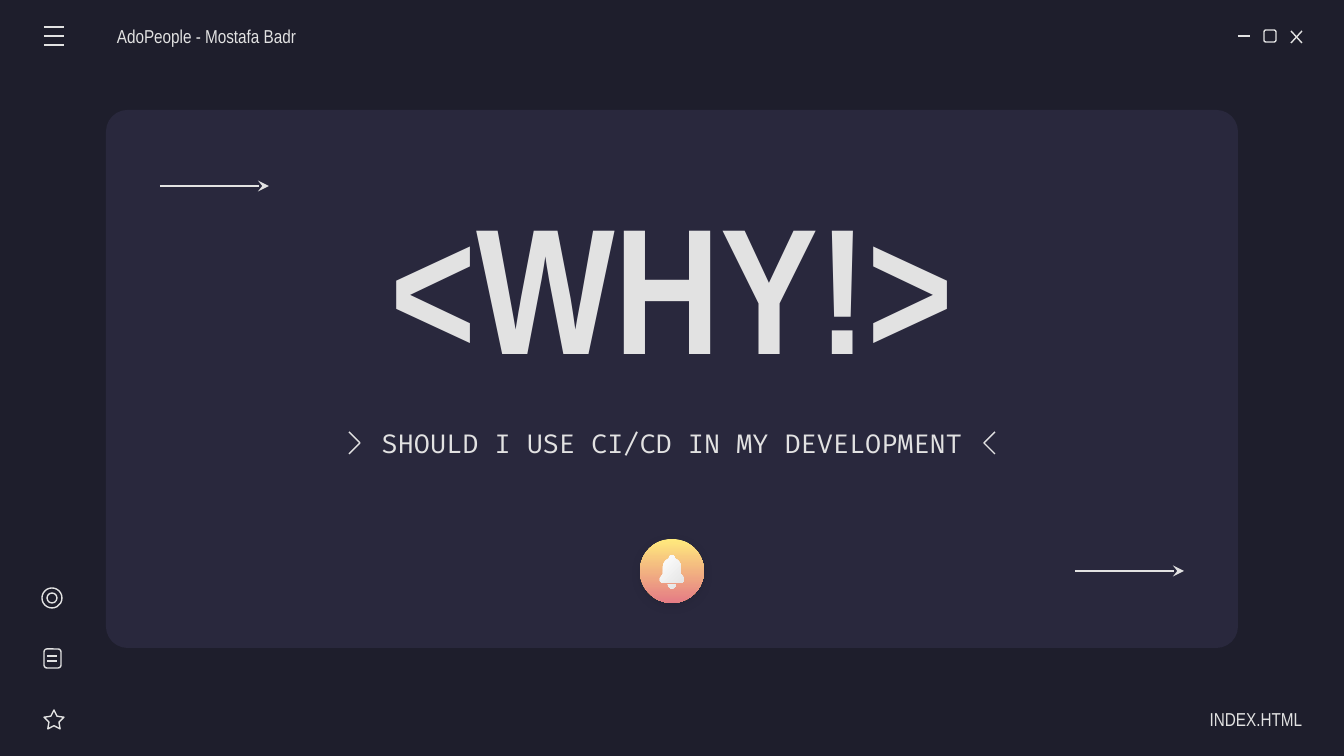
import math
from dataclasses import dataclass

import lxml.etree
import pptx
import pptx.dml.color
import pptx.enum.shapes
import pptx.enum.text
import pptx.oxml.ns
import pptx.util

WIDE, HIGH = 1344, 756
SCALE = 9144000 / WIDE  # EMU in one px

KIND = pptx.enum.shapes.MSO_SHAPE
ALIGN = pptx.enum.text.PP_ALIGN
qn = pptx.oxml.ns.qn


@dataclass(frozen=True)
class Theme:
    back: str = "1E1E2C"
    card: str = "29283D"
    ink: str = "E2E2E2"
    sun: tuple = ("FFEA7D", "E57C85")
    bell: tuple = ("FFFFFF", "E2E2E2")
    sans: str = "Arial Narrow"
    mono: str = "Fira Code"
    small: int = 10
    mid: int = 14
    huge: int = 96
    stroke: float = 0.75


THEME = Theme()


def px(num):
    return pptx.util.Emu(round(num * SCALE))


def rgb(code):
    return pptx.dml.color.RGBColor.from_string(code)


def ink(line):
    line.color.rgb = rgb(THEME.ink)
    line.width = pptx.util.Pt(THEME.stroke)


def blend(shape, pair, angle):
    """Fill with a two-colour gradient; the angle runs counter-clockwise."""
    shape.fill.gradient()
    shape.fill.gradient_angle = angle
    for stop, code in zip(shape.fill.gradient_stops, pair):
        stop.color.rgb = rgb(code)
    shape.line.fill.background()


def add_form(slide, kind, left, top, width, height, fill=None, adj=None):
    """Filled shape without a line, or an outline if no fill is given."""
    shape = slide.shapes.add_shape(kind, px(left), px(top), px(width), px(height))
    shape.shadow.inherit = False
    if adj is not None:
        shape.adjustments[0] = adj
    if fill:
        shape.fill.solid()
        shape.fill.fore_color.rgb = rgb(fill)
        shape.line.fill.background()
    else:
        shape.fill.background()
        ink(shape.line)
    return shape


def add_line(slide, x1, y1, x2, y2, head=False):
    line = slide.shapes.add_connector(
        pptx.enum.shapes.MSO_CONNECTOR.STRAIGHT, px(x1), px(y1), px(x2), px(y2))
    ink(line.line)
    props = line.element.spPr
    if head:
        lxml.etree.SubElement(props.find(qn("a:ln")), qn("a:tailEnd"), type="stealth")
    lxml.etree.SubElement(props, qn("a:effectLst"))


def add_free(slide, parts, close=True):
    """One freeform from one or more lists of points."""
    build = None
    for part in parts:
        first, *rest = [(px(x), px(y)) for x, y in part]
        if build is None:
            build = slide.shapes.build_freeform(*first)
        else:
            build.move_to(*first)
        build.add_line_segments(rest, close=close)
    shape = build.convert_to_shape()
    shape.shadow.inherit = False
    return shape


def add_text(slide, text, box, size, font, align, inset=(13, 13), bold=False):
    shape = slide.shapes.add_textbox(*map(px, box))
    frame = shape.text_frame
    frame.word_wrap = True
    frame.vertical_anchor = pptx.enum.text.MSO_ANCHOR.MIDDLE
    frame.margin_left, frame.margin_right = map(px, inset)
    frame.margin_top = frame.margin_bottom = px(13)
    para = frame.paragraphs[0]
    para.alignment = align
    run = para.add_run()
    run.text = text
    run.font.size = pptx.util.Pt(size)
    run.font.name = font
    run.font.bold = bold
    run.font.color.rgb = rgb(THEME.ink)


def arc(x, y, wide, high, start, end, steps=12):
    """Points on an ellipse, clockwise from start to end in degrees."""
    turns = [math.radians(start + (end - start) * i / steps) for i in range(steps + 1)]
    return [(x + wide * math.cos(t), y + high * math.sin(t)) for t in turns]


def add_window(slide):
    # Menu
    for y in (27, 36, 45):
        add_line(slide, 44, y, 64, y)
    # Minimise, maximise, close
    add_line(slide, 1238, 36, 1250, 36)
    add_form(slide, KIND.ROUNDED_RECTANGLE, 1264, 30, 12, 12)
    add_line(slide, 1291, 31, 1302, 43)
    add_line(slide, 1302, 31, 1291, 43)


def add_icons(slide):
    # Star
    add_form(slide, KIND.STAR_5_POINT, 44, 710, 20, 19, adj=0.25)
    # Note
    add_form(slide, KIND.ROUNDED_RECTANGLE, 44, 649, 17, 19)
    for y in (656, 661):
        add_line(slide, 47, y, 57, y)
    # Ring
    for half in (10, 5):
        add_form(slide, KIND.OVAL, 52 - half, 598 - half, 2 * half, 2 * half)


def add_badge(slide):
    # Disc with a soft shadow
    disc = add_form(slide, KIND.OVAL, 640, 539, 64, 64)
    blend(disc, THEME.sun, 270)
    shade = lxml.etree.SubElement(
        disc.element.spPr.find(qn("a:effectLst")), qn("a:outerShdw"),
        blurRad=str(pptx.util.Pt(4.5)), dist=str(pptx.util.Pt(1.5)),
        dir="5400000", algn="bl", rotWithShape="0")
    tint = lxml.etree.SubElement(shade, qn("a:srgbClr"), val=THEME.back)
    lxml.etree.SubElement(tint, qn("a:alpha"), val="30000")
    # Bell: body, then clapper
    body = [(662, 583), (660, 581), (660, 578), (663, 574),
            *arc(672, 567, 9, 9, 180, 250),
            *arc(672, 558, 3, 3, 180, 360),
            *arc(672, 567, 9, 9, 290, 360),
            (681, 574), (684, 578), (684, 581), (682, 583)]
    bell = add_free(slide, [body, arc(672, 584.5, 4, 4, 0, 180)])
    blend(bell, THEME.bell, 315)


def add_marks(slide):
    # Chevrons that point inwards
    for base, tip in ((349, 360), (995, 984)):
        mark = add_free(slide, [[(base, 432), (tip, 443), (base, 454)]], close=False)
        mark.fill.background()
        ink(mark.line)
    # Arrows
    for left, y in ((160, 186), (1075, 571)):
        add_line(slide, left, y, left + 109, y, head=True)


def main():
    deck = pptx.Presentation()
    deck.slide_width, deck.slide_height = px(WIDE), px(HIGH)
    slide = deck.slides.add_slide(deck.slide_layouts[6])
    slide.background.fill.solid()
    slide.background.fill.fore_color.rgb = rgb(THEME.back)

    # Card and window frame
    add_form(slide, KIND.ROUNDED_RECTANGLE, 106, 110, 1132, 538, THEME.card, 0.04)
    add_window(slide)
    add_icons(slide)

    # Texts
    add_text(slide, "AdoPeople - Mostafa Badr", (117, 16, 258, 40),
             THEME.small, THEME.sans, ALIGN.LEFT, inset=(0, 13))
    add_text(slide, "INDEX.HTML", (1145, 699, 157, 40),
             THEME.small, THEME.sans, ALIGN.RIGHT, inset=(13, 0))
    add_text(slide, "<WHY!>", (264, 187, 816, 191),
             THEME.huge, THEME.sans, ALIGN.CENTER, bold=True)
    add_text(slide, "SHOULD I USE CI/CD IN MY DEVELOPMENT", (360, 378, 624, 130),
             THEME.mid, THEME.mono, ALIGN.CENTER)

    add_badge(slide)
    add_marks(slide)
    deck.save("out.pptx")


if __name__ == "__main__":
    main()
